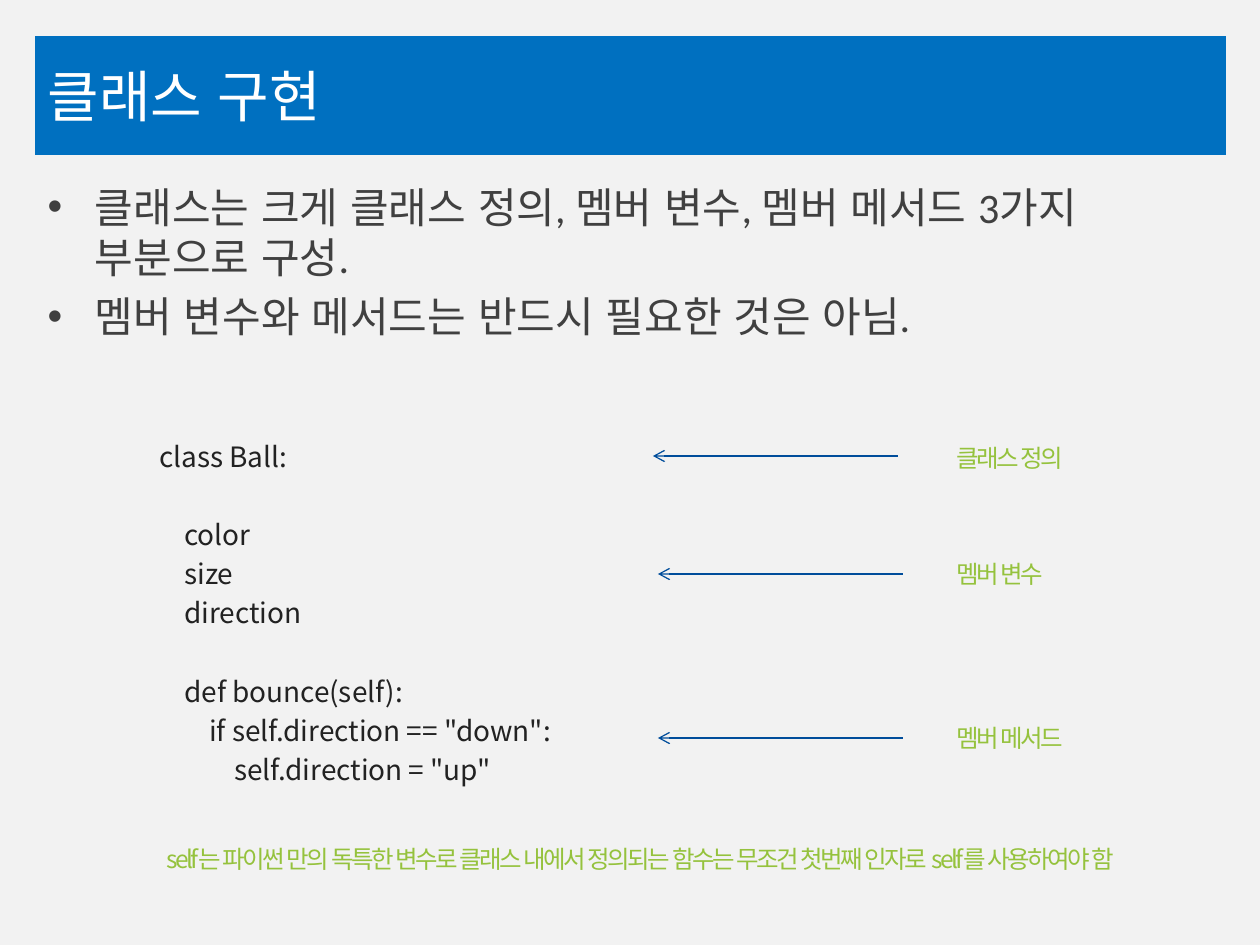
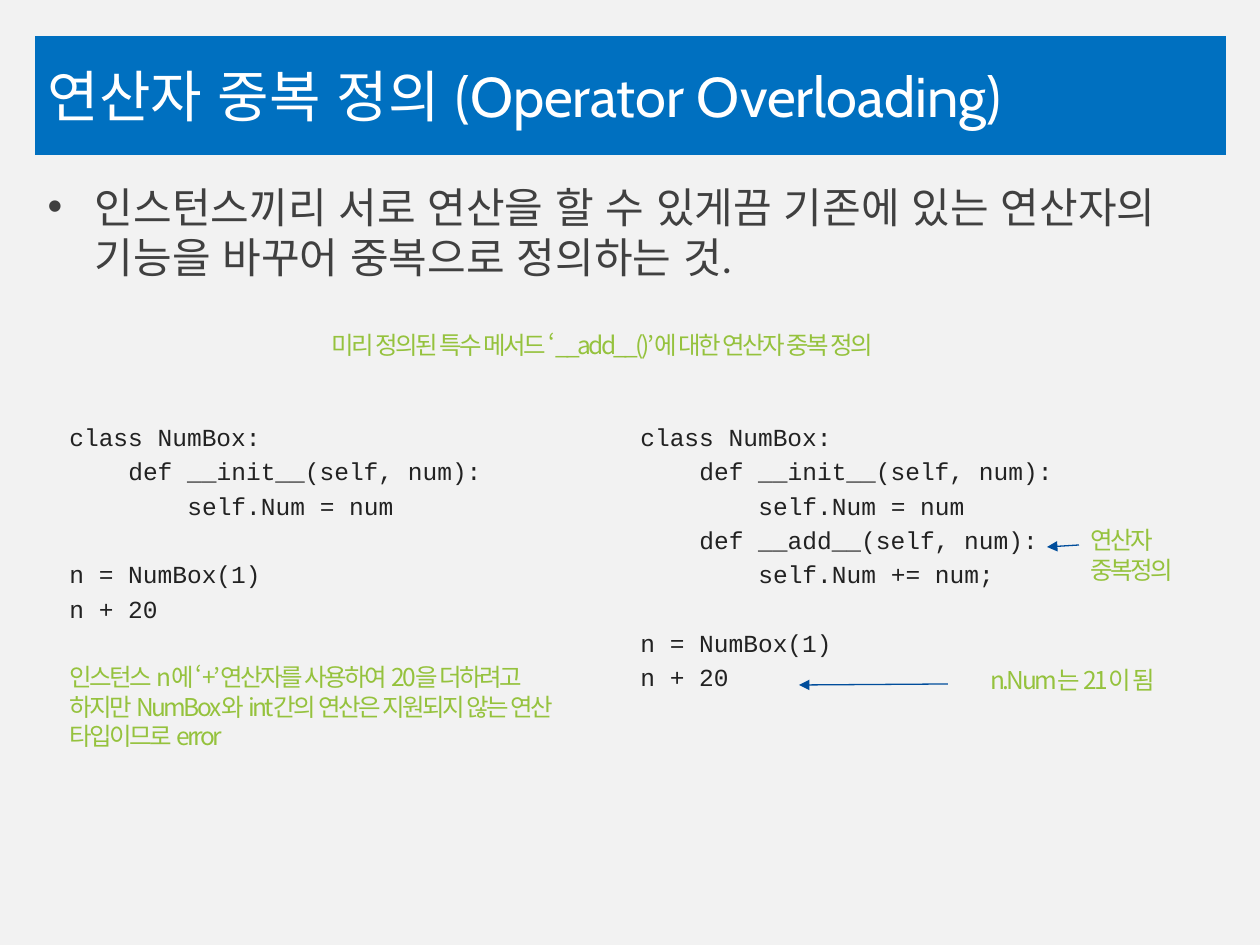
"""Builds two slides on Python classes and operator overloading."""
from dataclasses import dataclass

from lxml import etree
from pptx import Presentation
from pptx.dml.color import RGBColor
from pptx.enum.shapes import MSO_CONNECTOR
from pptx.enum.text import MSO_ANCHOR, MSO_AUTO_SIZE, PP_ALIGN
from pptx.oxml.ns import qn
from pptx.slide import Slide
from pptx.text.text import TextFrame, _Paragraph
from pptx.util import Emu, Pt

STRAIGHT = MSO_CONNECTOR.STRAIGHT
MIDDLE = MSO_ANCHOR.MIDDLE
TOP = MSO_ANCHOR.TOP
NO_FIT = MSO_AUTO_SIZE.NONE
LEFT = PP_ALIGN.LEFT
EMU_PER_PIXEL = 914400 / 126
LINE_RATIO = 1.2
GAP_RATIO = 0.2


@dataclass(frozen=True)
class Style:
    font: str
    size: int
    color: str
    spacing: float = 0
    indent: int = 0


@dataclass(frozen=True)
class Theme:
    background: str = "F2F2F2"
    band: str = "0070C0"
    arrow: str = "004D9B"
    arrow_width: float = 0.75
    east_asian: str = "Noto Sans CJK KR"
    title: Style = Style("Cabin", 32, "FFFFFF")
    body: Style = Style("Calibri", 24, "404040")
    note: Style = Style("Noto Sans CJK KR", 14, "95C23D", spacing=-1.5)
    plain_code: Style = Style("Noto Sans CJK KR", 16, "222222", indent=25)
    mono_code: Style = Style("Courier New", 14, "222222", indent=59)


@dataclass(frozen=True)
class Area:
    left: int
    top: int
    width: int
    height: int


@dataclass(frozen=True)
class CodeLine:
    text: str
    level: int = 0
    after_gap: bool = False


@dataclass(frozen=True)
class Code:
    area: Area
    style: Style
    lines: tuple[CodeLine, ...]


@dataclass(frozen=True)
class Note:
    area: Area
    text: str


@dataclass(frozen=True)
class Arrow:
    start: tuple[int, int]
    end: tuple[int, int]
    head: str


@dataclass(frozen=True)
class Page:
    title: str
    bullets: tuple[str, ...]
    codes: tuple[Code, ...]
    notes: tuple[Note, ...]
    arrows: tuple[Arrow, ...]


THEME = Theme()
TITLE_AREA = Area(35, 36, 1191, 119)
BODY_AREA = Area(35, 175, 1191, 665)
LABEL_LEFT, LABEL_WIDTH, NOTE_HEIGHT = 944, 156, 43


def px(pixels: float) -> Emu:
    """Turn pixels into EMU."""
    return Emu(round(pixels * EMU_PER_PIXEL))


def place(shape, area: Area) -> None:
    """Move and size a shape."""
    shape.left, shape.top = px(area.left), px(area.top)
    shape.width, shape.height = px(area.width), px(area.height)


def format_paragraph(paragraph: _Paragraph, style: Style) -> None:
    """Apply a text style to a paragraph and its runs."""
    paragraph.alignment = LEFT
    paragraph.line_spacing = Pt(style.size * LINE_RATIO)
    for span in paragraph.runs:
        span.font.size = Pt(style.size)
        span.font.name = style.font
        span.font.color.rgb = RGBColor.from_string(style.color)
        properties = span._r.get_or_add_rPr()
        properties.set("lang", "ko-KR")
        if style.spacing:
            properties.set("spc", str(round(style.spacing * 100)))
        east_asian = etree.SubElement(properties, qn("a:ea"))
        east_asian.set("typeface", THEME.east_asian)


def fill_frame(frame: TextFrame, texts: tuple[str, ...], style: Style) -> None:
    """Write one formatted paragraph per text."""
    frame.word_wrap = True
    frame.auto_size = NO_FIT
    frame.text = "\n".join(texts)
    for paragraph in frame.paragraphs:
        format_paragraph(paragraph, style)


def add_text(page: Slide, area: Area, texts: tuple[str, ...], style: Style) -> TextFrame:
    """Add a text box and return its frame."""
    box = page.shapes.add_textbox(0, 0, 0, 0)
    place(box, area)
    fill_frame(box.text_frame, texts, style)
    return box.text_frame


def add_code(page: Slide, code: Code) -> None:
    """Add a listing whose levels are indents and whose gaps are spacing."""
    style = code.style
    frame = add_text(page, code.area, tuple(line.text for line in code.lines), style)
    gap = style.size * GAP_RATIO
    blank = gap + style.size * LINE_RATIO
    for paragraph, line in zip(frame.paragraphs, code.lines):
        paragraph.space_before = Pt(gap + blank * line.after_gap)
        paragraph._p.get_or_add_pPr().set("marL", str(px(style.indent * line.level)))


def add_arrow(page: Slide, arrow: Arrow) -> None:
    """Add a line with an arrowhead at its end."""
    points = (px(value) for value in arrow.start + arrow.end)
    connector = page.shapes.add_connector(STRAIGHT, *points)
    connector.line.color.rgb = RGBColor.from_string(THEME.arrow)
    connector.line.width = Pt(THEME.arrow_width)
    head = etree.SubElement(connector.line._get_or_add_ln(), qn("a:tailEnd"))
    head.set("type", arrow.head)
    etree.SubElement(connector._element.spPr, qn("a:effectLst"))


def add_page(deck, content: Page) -> None:
    """Add one slide with its title, list, code, notes and arrows."""
    page = deck.slides.add_slide(deck.slide_layouts[1])
    title, body = page.shapes.title, page.placeholders[1]
    place(title, TITLE_AREA)
    title.fill.solid()
    title.fill.fore_color.rgb = RGBColor.from_string(THEME.band)
    fill_frame(title.text_frame, (content.title,), THEME.title)
    title.text_frame.vertical_anchor = MIDDLE
    place(body, BODY_AREA)
    fill_frame(body.text_frame, content.bullets, THEME.body)
    body.text_frame.vertical_anchor = TOP
    for paragraph in body.text_frame.paragraphs:
        paragraph.space_before = Pt(THEME.body.size * GAP_RATIO)
    for code in content.codes:
        add_code(page, code)
    for note in content.notes:
        add_text(page, note.area, (note.text,), THEME.note)
    for arrow in content.arrows:
        add_arrow(page, arrow)


def label(top: int, text: str) -> Note:
    """Describe a label in the column right of the class listing."""
    return Note(Area(LABEL_LEFT, top, LABEL_WIDTH, NOTE_HEIGHT), text)


NUMBOX_START = (
    CodeLine("class NumBox:"),
    CodeLine("def __init__(self, num):", 1),
    CodeLine("self.Num = num", 2),
)
NUMBOX_ADD = (
    CodeLine("def __add__(self, num):", 1),
    CodeLine("self.Num += num;", 2),
)
NUMBOX_USE = (
    CodeLine("n = NumBox(1)", after_gap=True),
    CodeLine("n + 20"),
)
BALL = (
    CodeLine("class Ball:"),
    CodeLine("color", 1, after_gap=True),
    CodeLine("size", 1),
    CodeLine("direction", 1),
    CodeLine("def bounce(self):", 1, after_gap=True),
    CodeLine('if self.direction == "down":', 2),
    CodeLine('self.direction = "up"', 3),
)

PAGES = (
    Page(
        title="클래스 구현",
        bullets=(
            "클래스는 크게 클래스 정의, 멤버 변수, 멤버 메서드 3가지 부분으로 구성.",
            "멤버 변수와 메서드는 반드시 필요한 것은 아님.",
        ),
        codes=(Code(Area(147, 433, 527, 397), THEME.plain_code, BALL),),
        notes=(
            label(437, "클래스 정의"),
            label(553, "멤버 변수"),
            label(717, "멤버 메서드"),
            Note(
                Area(154, 838, 1071, NOTE_HEIGHT),
                "self는 파이썬 만의 독특한 변수로 클래스 내에서 정의되는 함수는 "
                "무조건 첫번째 인자로 self를 사용하여야 함",
            ),
        ),
        arrows=(
            Arrow((898, 456), (653, 456), "arrow"),
            Arrow((903, 574), (658, 574), "arrow"),
            Arrow((903, 738), (658, 738), "arrow"),
        ),
    ),
    Page(
        title="연산자 중복 정의 (Operator Overloading)",
        bullets=(
            "인스턴스끼리 서로 연산을 할 수 있게끔 기존에 있는 연산자의 "
            "기능을 바꾸어 중복으로 정의하는 것.",
        ),
        codes=(
            Code(Area(57, 416, 476, 325), THEME.mono_code, NUMBOX_START + NUMBOX_USE),
            Code(
                Area(628, 416, 456, 325),
                THEME.mono_code,
                NUMBOX_START + NUMBOX_ADD + NUMBOX_USE,
            ),
        ),
        notes=(
            Note(Area(978, 659, 208, NOTE_HEIGHT), "n.Num는 21이 됨"),
            Note(
                Area(57, 656, 508, 102),
                "인스턴스 n에 ‘+’연산자를 사용하여 20을 더하려고 하지만 "
                "NumBox와 int간의 연산은 지원되지 않는 연산 타입이므로 error",
            ),
            Note(Area(1078, 519, 117, 72), "연산자 중복정의"),
            Note(
                Area(319, 324, 621, NOTE_HEIGHT),
                "미리 정의된 특수 메서드 ‘__add__()’에 대한 연산자 중복 정의",
            ),
        ),
        arrows=(
            Arrow((948, 684), (799, 685), "triangle"),
            Arrow((1079, 545), (1047, 547), "triangle"),
        ),
    ),
)


def main() -> None:
    """Build and save the deck."""
    deck = Presentation()
    deck.slide_width, deck.slide_height = px(1260), px(945)
    fill = deck.slide_master.background.fill
    fill.solid()
    fill.fore_color.rgb = RGBColor.from_string(THEME.background)
    for content in PAGES:
        add_page(deck, content)
    deck.save("out.pptx")


main()
